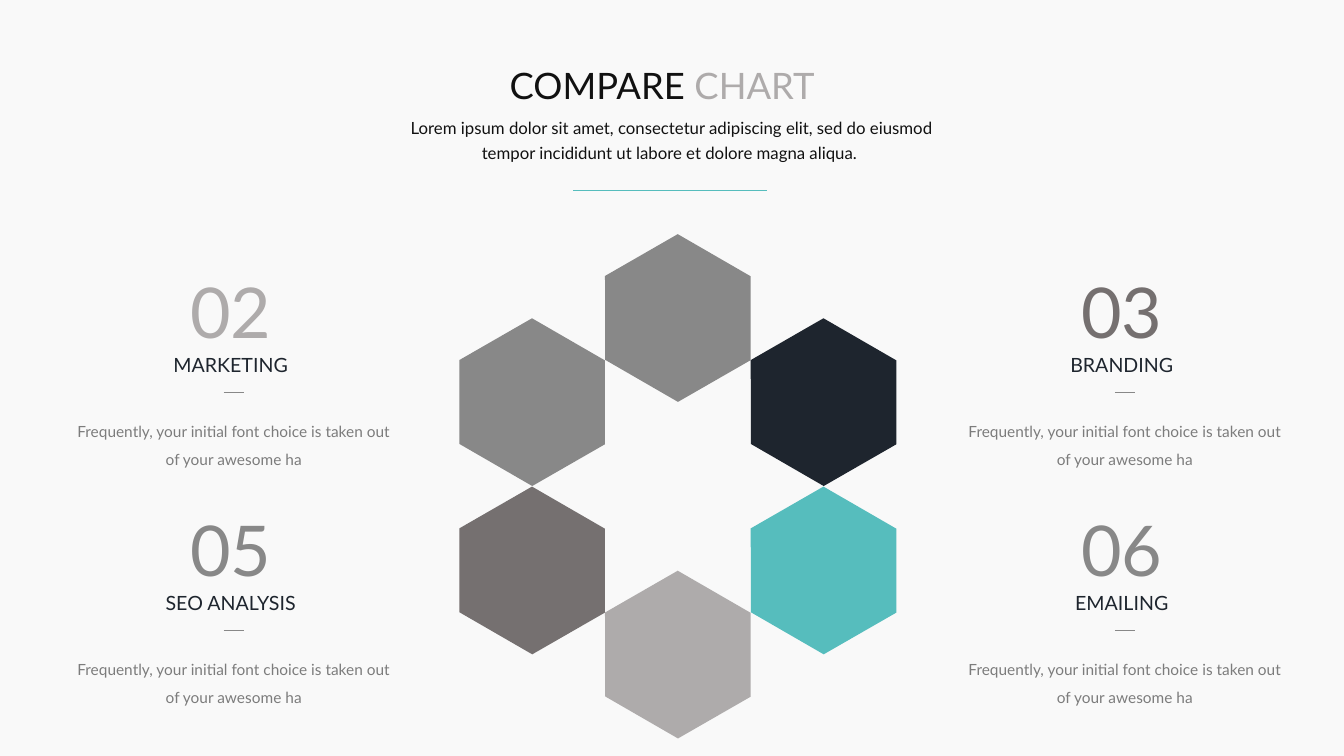
from math import cos, radians, sin

from lxml import etree
from pptx import Presentation
from pptx.dml.color import RGBColor
from pptx.enum.shapes import MSO_CONNECTOR, MSO_SHAPE
from pptx.enum.text import MSO_AUTO_SIZE as AUTO, PP_ALIGN
from pptx.oxml.ns import qn
from pptx.util import Pt

PAPER = RGBColor(0xF9, 0xF9, 0xF9)
BLACK = RGBColor(0x11, 0x11, 0x11)
NAVY = RGBColor(0x1E, 0x25, 0x2E)
TEAL = RGBColor(0x56, 0xBD, 0xBD)
SILVER = RGBColor(0xAE, 0xAB, 0xAB)
GRAY = RGBColor(0x88, 0x88, 0x88)
TAUPE = RGBColor(0x75, 0x70, 0x70)
BODY = RGBColor(0x7C, 0x7C, 0x7C)

RING_X, RING_Y, RING_RADIUS = 484.2, 347.4, 120.2
RING_COLORS = [GRAY, NAVY, TEAL, SILVER, TAUPE, GRAY]  # clockwise from the top

PANEL_X, PANEL_Y = 41, 188
PANEL_DX, PANEL_DY = 636.5, 170
PANELS = [
    [("02", "MARKETING", SILVER), ("03", "BRANDING", TAUPE)],
    [("05", "SEO ANALYSIS", GRAY), ("06", "EMAILING", GRAY)],
]
PANEL_BODY = "Frequently, your initial font choice is taken out of your awesome ha"
INTRO = ("Lorem ipsum dolor sit amet, consectetur adipiscing elit, "
         "sed do eiusmod tempor incididunt ut labore et dolore magna aliqua. ")


class Deck:
    def __init__(self, prs, font="Lato"):
        self.font = font
        self.s = prs.slides.add_slide(prs.slide_layouts[6])
        self.s.background.fill.solid()
        self.s.background.fill.fore_color.rgb = PAPER

    def text(self, runs, x, y, w, h, size, margins=(7.2, 3.6), wrap=False,
             spacing=None):
        """Add a centred text box; runs is a list of (text, colour)."""
        sp = self.s.shapes.add_textbox(Pt(x), Pt(y), Pt(w), Pt(h))
        tf = sp.text_frame
        tf.word_wrap = wrap
        tf.auto_size = AUTO.SHAPE_TO_FIT_TEXT
        tf.margin_left = tf.margin_right = Pt(margins[0])
        tf.margin_top = tf.margin_bottom = Pt(margins[1])
        p = tf.paragraphs[0]
        p.alignment = PP_ALIGN.CENTER
        p.line_spacing = spacing
        for text, color in runs:
            r = p.add_run()
            r.text = text
            r.font.name = self.font
            r.font.size = Pt(size)
            r.font.color.rgb = color

    def rule(self, x, y, w, color):
        line = self.s.shapes.add_connector(
            MSO_CONNECTOR.STRAIGHT, Pt(x), Pt(y), Pt(x + w), Pt(y))
        line.line.color.rgb = color
        line.line.width = Pt(0.5)
        etree.SubElement(line._element.spPr, qn("a:effectLst"))

    def hexagon(self, cx, cy, color, w=120.2, h=103.7):
        sp = self.s.shapes.add_shape(
            MSO_SHAPE.HEXAGON, Pt(cx - w / 2), Pt(cy - h / 2), Pt(w), Pt(h))
        sp.adjustments[0] = 0.29
        sp.rotation = 30
        sp.shadow.inherit = False
        sp.fill.solid()
        sp.fill.fore_color.rgb = color
        sp.line.fill.background()

    def panel(self, x, y, number, heading, color):
        self.text([(number, color)], x + 87.2, y, 73.4, 67.7, 50)
        self.text([(heading, NAVY)], x + 68, y + 64, 111.6, 20.2, 14,
                  spacing=Pt(13.4))
        self.rule(x + 118.8, y + 92, 14.6, GRAY)
        self.text([(PANEL_BODY, BODY)], x, y + 102.9, 252, 46, 11,
                  margins=(8.64, 4.32), wrap=True, spacing=1.5)


def main():
    prs = Presentation()
    prs.slide_width, prs.slide_height = Pt(960), Pt(540)
    deck = Deck(prs)

    for i, color in enumerate(RING_COLORS):
        angle = radians(60 * i)
        deck.hexagon(RING_X + RING_RADIUS * sin(angle),
                     RING_Y - RING_RADIUS * cos(angle), color)

    for row, panels in enumerate(PANELS):
        for col, panel in enumerate(panels):
            deck.panel(PANEL_X + col * PANEL_DX, PANEL_Y + row * PANEL_DY, *panel)

    deck.text([("COMPARE ", BLACK), ("CHART", SILVER)],
              360.7, 45.4, 224.6, 31.7, 26, margins=(0, 0))
    deck.text([(INTRO, BLACK)], 278.6, 80.6, 402.5, 36, 12,
              margins=(0, 0), wrap=True, spacing=1.25)
    deck.rule(409.5, 136, 138.4, TEAL)
    prs.save("out.pptx")


if __name__ == "__main__":
    main()
